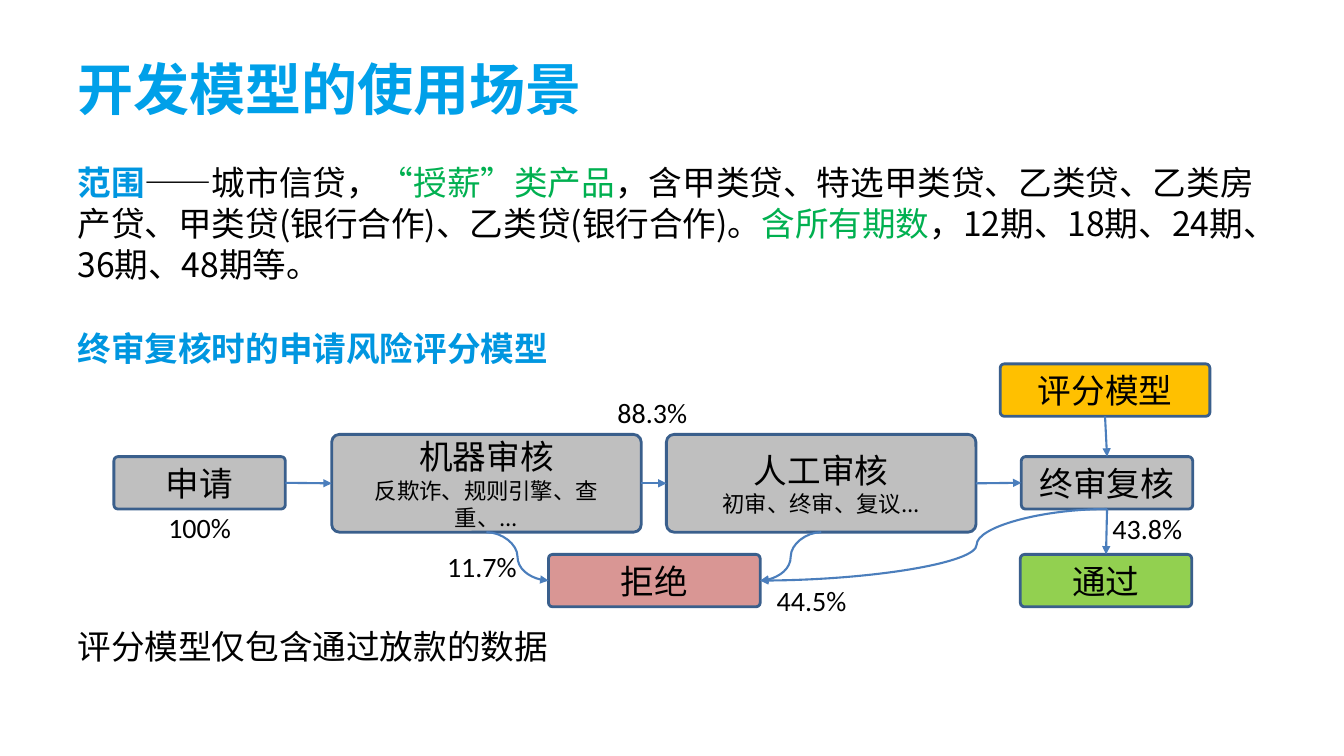
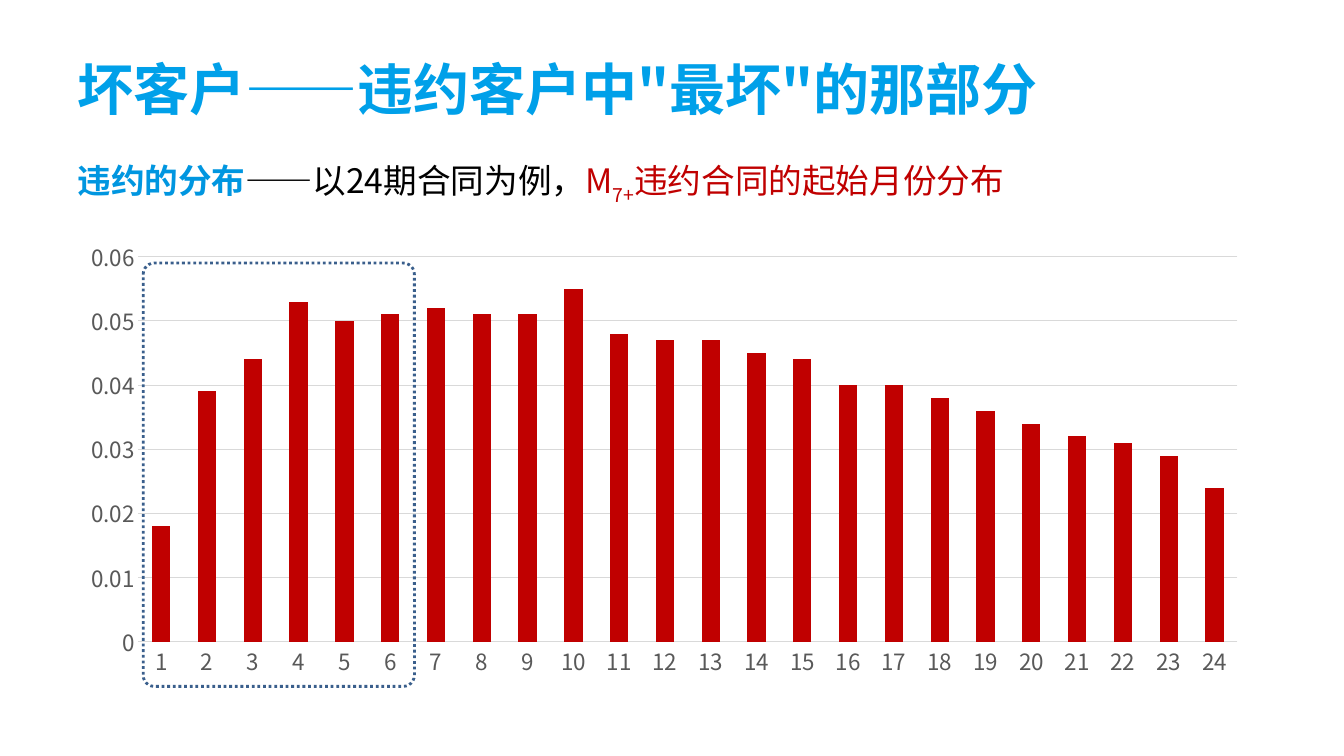
from dataclasses import dataclass
from typing import NamedTuple

from lxml.etree import SubElement
from pptx import Presentation
from pptx.chart.data import CategoryChartData
from pptx.dml.color import RGBColor
from pptx.enum.chart import XL_CHART_TYPE as ChartType, XL_TICK_MARK as TickMark
from pptx.enum.dml import MSO_LINE_DASH_STYLE as Dash
from pptx.enum.shapes import MSO_CONNECTOR as Connector, MSO_SHAPE as Shape
from pptx.enum.text import MSO_ANCHOR as Anchor, PP_ALIGN as Align
from pptx.oxml.ns import qn
from pptx.util import Inches, Pt

CJK_FONT, LATIN_FONT = "Noto Sans CJK SC", "Calibri"
TITLE_BLUE, HEADING_BLUE, BLACK = "00A0E9", "0096E0", "000000"
GREEN, RED = "00B050", "C00000"
GREY, PINK, LIME, AMBER = "BFBFBF", "D99694", "92D050", "FFC000"
BORDER, ARROW = "3A5F8C", "4B7EBC"
GRID, AXIS_TEXT = "D9D9D9", "595959"
LEFT = 0.67
LINE_RATIO = 1.22
TOP, WEST, BOTTOM, EAST = range(4)


class Span(NamedTuple):
    text: str
    color: str = BLACK
    bold: bool = False
    baseline: int = 0


@dataclass
class Step:
    name: str
    left: float
    top: float
    width: float
    height: float
    fill: str
    detail: str = ""

    def side(self, site: int) -> tuple[float, float]:
        """Middle of the side that a connection site number stands for."""
        x_share, y_share = ((0.5, 0), (0, 0.5), (0.5, 1), (1, 0.5))[site]
        return self.left + self.width * x_share, self.top + self.height * y_share


class Link(NamedTuple):
    source: str
    source_side: int
    target: str
    target_side: int
    curved: bool = False
    bend: float = 0.5


class Label(NamedTuple):
    text: str
    left: float
    top: float


STEPS = [
    Step("申请", 1.13, 4.53, 1.7, 0.52, GREY),
    Step("拒绝", 5.44, 5.5, 2.1, 0.52, PINK),
    Step("机器审核", 3.29, 4.31, 3.07, 0.97, GREY, "反欺诈、规则引擎、查重、..."),
    Step("人工审核", 6.61, 4.31, 3.07, 0.97, GREY, "初审、终审、复议..."),
    Step("终审复核", 10.13, 4.53, 1.7, 0.52, GREY),
    Step("通过", 10.12, 5.5, 1.7, 0.52, LIME),
    Step("评分模型", 9.92, 3.61, 2.08, 0.52, AMBER),
]
LINKS = [
    Link("申请", EAST, "机器审核", WEST),
    Link("机器审核", EAST, "人工审核", WEST),
    Link("机器审核", BOTTOM, "拒绝", WEST, curved=True),
    Link("人工审核", BOTTOM, "拒绝", EAST, curved=True),
    Link("人工审核", EAST, "终审复核", WEST),
    Link("终审复核", BOTTOM, "拒绝", EAST, curved=True, bend=0.376),
    Link("评分模型", BOTTOM, "终审复核", TOP),
    Link("终审复核", BOTTOM, "通过", TOP),
]
LABELS = [
    Label("100%", 1.44, 5.02),
    Label("88.3%", 5.93, 3.87),
    Label("11.7%", 4.24, 5.4),
    Label("43.8%", 10.84, 5.03),
    Label("44.5%", 7.51, 5.74),
]
DEFAULT_SHARES = [
    0.018, 0.039, 0.044, 0.053, 0.05, 0.051, 0.052, 0.051,
    0.051, 0.055, 0.048, 0.047, 0.047, 0.045, 0.044, 0.04,
    0.04, 0.038, 0.036, 0.034, 0.032, 0.031, 0.029, 0.024,
]


def rgb(color: str) -> RGBColor:
    return RGBColor.from_string(color)


def write(para, *spans: Span, size: float = 24, font: str = CJK_FONT,
          align=Align.LEFT, tight: bool = False) -> None:
    """Fill a paragraph; tight fixes the line height to a share of the size."""
    para.alignment = align
    if tight:
        para.line_spacing = Pt(round(size * LINE_RATIO, 1))
    for span in spans:
        run = para.add_run()
        run.text = span.text
        run.font.size = Pt(size)
        run.font.name = font
        run.font.bold = span.bold
        run.font.color.rgb = rgb(span.color)
        properties = run.font._element
        SubElement(properties, qn("a:ea")).set("typeface", font)
        if span.baseline:
            properties.set("baseline", str(span.baseline * 1000))


def add_text(page, left: float, top: float, width: float, height: float,
             *spans: Span, anchor=Anchor.TOP, **style) -> None:
    box = page.shapes.add_textbox(Inches(left), Inches(top), Inches(width), Inches(height))
    box.text_frame.word_wrap = True
    box.text_frame.vertical_anchor = anchor
    write(box.text_frame.paragraphs[0], *spans, **style)


def add_page(deck, title: str):
    """Blank slide with the shared title."""
    page = deck.slides.add_slide(deck.slide_layouts[6])
    add_text(page, LEFT, 0.36, 12, 1.02, Span(title, TITLE_BLUE, True),
             size=40, anchor=Anchor.MIDDLE)
    return page


def add_round_box(page, left: float, top: float, width: float, height: float,
                  corner: float, fill: str | None = None):
    box = page.shapes.add_shape(Shape.ROUNDED_RECTANGLE, Inches(left), Inches(top),
                                Inches(width), Inches(height))
    box.shadow.inherit = False
    box.adjustments[0] = corner
    if fill:
        box.fill.solid()
        box.fill.fore_color.rgb = rgb(fill)
    else:
        box.fill.background()
    box.line.color.rgb = rgb(BORDER)
    box.line.width = Pt(2)
    return box


def add_step(page, step: Step):
    box = add_round_box(page, step.left, step.top, step.width, step.height, 0.078, step.fill)
    frame = box.text_frame
    frame.word_wrap = True
    frame.vertical_anchor = Anchor.MIDDLE
    frame.margin_top = frame.margin_bottom = 0
    tight = bool(step.detail)
    write(frame.paragraphs[0], Span(step.name), align=Align.CENTER, tight=tight)
    if step.detail:
        write(frame.add_paragraph(), Span(step.detail), size=16, align=Align.CENTER, tight=tight)
    return box


def add_link(page, link: Link, steps: dict, boxes: dict) -> None:
    start = steps[link.source].side(link.source_side)
    end = steps[link.target].side(link.target_side)
    kind = Connector.CURVE if link.curved else Connector.STRAIGHT
    arrow = page.shapes.add_connector(kind, *(Inches(value) for value in start + end))
    arrow.line.color.rgb = rgb(ARROW)
    arrow.line.width = Pt(1.5)
    properties = arrow._element.spPr
    SubElement(arrow.line._get_or_add_ln(), qn("a:tailEnd")).set("type", "triangle")
    SubElement(properties, qn("a:effectLst"))
    if link.curved:
        guide = SubElement(properties.prstGeom.get_or_add_avLst(), qn("a:gd"))
        guide.set("name", "adj1")
        guide.set("fmla", f"val {round(link.bend * 100000)}")
    else:
        arrow.begin_connect(boxes[link.source], link.source_side)
        arrow.end_connect(boxes[link.target], link.target_side)


def add_scenario_page(deck) -> None:
    page = add_page(deck, "开发模型的使用场景")
    add_text(
        page, LEFT, 1.55, 12, 1.35,
        Span("范围", HEADING_BLUE, True),
        Span("——城市信贷，"),
        Span("“授薪”类产品", GREEN),
        Span("，含甲类贷、特选甲类贷、乙类贷、乙类房产贷、甲类贷(银行合作)、乙类贷(银行合作)。"),
        Span("含所有期数", GREEN),
        Span("，12期、18期、24期、36期、48期等。"),
        tight=True)
    add_text(page, LEFT, 3.2, 12, 0.5,
             Span("终审复核时的申请风险评分模型", HEADING_BLUE, True), tight=True)
    add_text(page, LEFT, 6.15, 12, 0.5, Span("评分模型仅包含通过放款的数据"), tight=True)

    steps = {step.name: step for step in STEPS}
    boxes = {step.name: add_step(page, step) for step in STEPS}
    for link in LINKS:
        add_link(page, link, steps, boxes)
    for label in LABELS:
        add_text(page, label.left, label.top, 1.08, 0.44, Span(label.text),
                 size=20, font=LATIN_FONT, align=Align.CENTER)


def add_share_chart(page) -> None:
    data = CategoryChartData()
    data.categories = [str(month) for month in range(1, len(DEFAULT_SHARES) + 1)]
    data.add_series("Series 1", DEFAULT_SHARES)
    chart = page.shapes.add_chart(ChartType.COLUMN_CLUSTERED, Inches(LEFT), Inches(2.3),
                                  Inches(11.84), Inches(4.51), data).chart
    chart.has_legend = chart.has_title = False
    chart.font.size = Pt(16)
    chart.font.name = CJK_FONT
    chart.font.color.rgb = rgb(AXIS_TEXT)

    plot = chart.plots[0]
    plot.gap_width = 150
    plot.vary_by_categories = False
    fill = plot.series[0].format.fill
    fill.solid()
    fill.fore_color.rgb = rgb(RED)

    months, shares = chart.category_axis, chart.value_axis
    for axis in (months, shares):
        axis.major_tick_mark = axis.minor_tick_mark = TickMark.NONE
    shares.minimum_scale, shares.maximum_scale, shares.major_unit = 0, 0.06, 0.01
    shares.tick_labels.number_format = "General"
    shares.tick_labels.number_format_is_linked = False
    shares.format.line.fill.background()
    for line in (months.format.line, shares.major_gridlines.format.line):
        line.color.rgb = rgb(GRID)
        line.width = Pt(0.75)


def add_distribution_page(deck) -> None:
    page = add_page(deck, "坏客户——违约客户中\"最坏\"的那部分")
    add_text(
        page, LEFT, 1.59, 12.1, 0.5,
        Span("违约的分布", HEADING_BLUE, True),
        Span("——以24期合同为例，"),
        Span("M", RED),
        Span("7+", RED, baseline=-25),
        Span("违约合同的起始月份分布", RED),
        tight=True)
    add_share_chart(page)
    first_months = add_round_box(page, 1.42, 2.61, 2.69, 4.2, 0.041)
    first_months.line.dash_style = Dash.ROUND_DOT


def main() -> None:
    deck = Presentation()
    deck.slide_width, deck.slide_height = Inches(13.33), Inches(7.5)
    add_scenario_page(deck)
    add_distribution_page(deck)
    deck.save("out.pptx")


if __name__ == "__main__":
    main()
